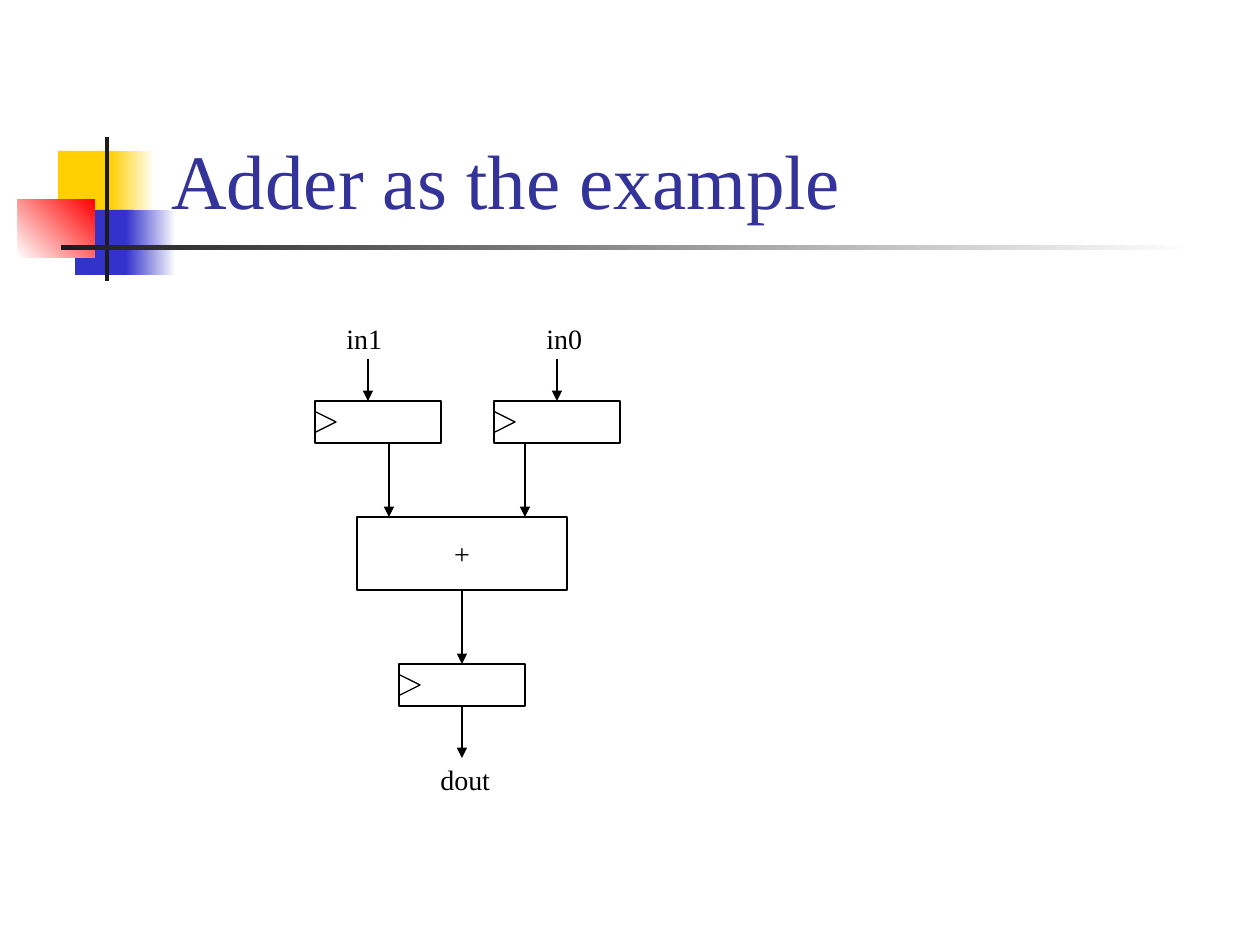
from lxml.etree import SubElement
from pptx import Presentation
from pptx.dml.color import RGBColor
from pptx.enum.shapes import MSO_CONNECTOR as CONN, MSO_SHAPE as SHAPE
from pptx.enum.text import MSO_ANCHOR as ANCHOR, MSO_AUTO_SIZE as FIT, PP_ALIGN as ALIGN
from pptx.oxml.ns import qn
from pptx.util import Pt

PX = 914400 / 126  # EMU per px
FONT = "Times New Roman"
BLACK = RGBColor(0, 0, 0)
WHITE = RGBColor(0xFF, 0xFF, 0xFF)
YELLOW = RGBColor(0xFF, 0xCF, 0x01)
BLUE = RGBColor(0x33, 0x33, 0xCC)
RED = RGBColor(0xFF, 0, 0)
DARK = RGBColor(0x1C, 0x1C, 0x1C)
NAVY = RGBColor(0x33, 0x33, 0x99)
TOP, BOTTOM = 0, 2  # connection sites of a rectangle

# Content: boxes are (left, top, width, height) in px
TITLE = ("Adder as the example", (159, 29, 1073, 202))
DECOR = [  # box, colours (two make a gradient), angle
    ((58, 151, 60, 66), [YELLOW], 0),
    ((110, 151, 45, 66), [YELLOW, WHITE], 0),
    ((75, 210, 58, 65), [BLUE], 0),
    ((126, 210, 50, 65), [BLUE, WHITE], 0),
    ((18, 199, 77, 59), [WHITE, RED], 45),
    ((105, 137, 4, 144), [DARK], 0),
    ((61, 245, 1134, 5), [DARK, WHITE], 0),
]
REG_W, REG_H, CLOCK = 126, 42, 21
REGISTERS = {"in1": (315, 401), "in0": (494, 401), "dout": (399, 664)}
ADDER = ("+", (357, 517, 210, 73))
LABELS = [("in1", (334, 315, 62, 46)), ("in0", (534, 315, 62, 46)),
          ("dout", (428, 756, 76, 46))]
ARROWS = [  # x, y from, y to, source (block, site), target (block, site)
    (368, 359, 401, None, None),
    (557, 359, 401, None, ("in0", TOP)),
    (389, 443, 517, None, None),
    (525, 443, 517, None, None),
    (462, 590, 664, ("adder", BOTTOM), ("dout", TOP)),
    (462, 706, 758, ("dout", BOTTOM), None),
]


def emu(*lengths):
    return [round(n * PX) for n in lengths]


def add_shape(kind, box):
    sp = slide.shapes.add_shape(kind, *emu(*box))
    sp.shadow.inherit = False
    return sp


def add_outline(kind, box):
    sp = add_shape(kind, box)
    sp.fill.background()
    sp.line.color.rgb = BLACK
    sp.line.width = Pt(0.75)
    return sp


def set_text(sp, text, size, color, wrap=False):
    tf = sp.text_frame
    tf.word_wrap = wrap
    p = tf.paragraphs[0]
    p.text = text
    p.font.name, p.font.size, p.font.color.rgb = FONT, Pt(size), color
    return tf


def add_arrow(x, y1, y2, source, target):
    cn = slide.shapes.add_connector(CONN.STRAIGHT, *emu(x, y1, x, y2))
    if source:
        cn.begin_connect(blocks[source[0]], source[1])
    if target:
        cn.end_connect(blocks[target[0]], target[1])
    cn.line.color.rgb = BLACK
    cn.line.width = Pt(0.75)
    SubElement(cn.line._get_or_add_ln(), qn("a:tailEnd"), type="triangle")
    SubElement(cn._element.spPr, qn("a:effectLst"))


prs = Presentation()
prs.slide_width, prs.slide_height = emu(1260, 945)
slide = prs.slides.add_slide(prs.slide_layouts[6])

# Corner decoration and rule
for box, colors, angle in DECOR:
    sp = add_shape(SHAPE.RECTANGLE, box)
    sp.line.fill.background()
    if len(colors) == 1:
        sp.fill.solid()
        sp.fill.fore_color.rgb = colors[0]
    else:
        sp.fill.gradient()
        sp.fill.gradient_angle = angle
        for stop, color in zip(sp.fill.gradient_stops, colors):
            stop.color.rgb = color

# Title
text, box = TITLE
tf = set_text(slide.shapes.add_textbox(*emu(*box)), text, 44, NAVY, wrap=True)
tf.vertical_anchor = ANCHOR.BOTTOM

# Registers with clock marks
blocks = {}
for name, (x, y) in REGISTERS.items():
    blocks[name] = add_outline(SHAPE.RECTANGLE, (x, y, REG_W, REG_H))
    clock = add_outline(SHAPE.ISOSCELES_TRIANGLE,
                        (x, y + (REG_H - CLOCK) / 2, CLOCK, CLOCK))
    clock.rotation = 90

# Adder
text, box = ADDER
blocks["adder"] = add_outline(SHAPE.RECTANGLE, box)
tf = set_text(blocks["adder"], text, 16, BLACK)
tf.vertical_anchor = ANCHOR.MIDDLE
tf.paragraphs[0].alignment = ALIGN.CENTER

# Signal flow and port labels
for arrow in ARROWS:
    add_arrow(*arrow)
for text, box in LABELS:
    tf = set_text(slide.shapes.add_textbox(*emu(*box)), text, 16, BLACK)
    tf.auto_size = FIT.SHAPE_TO_FIT_TEXT

prs.save("out.pptx")
